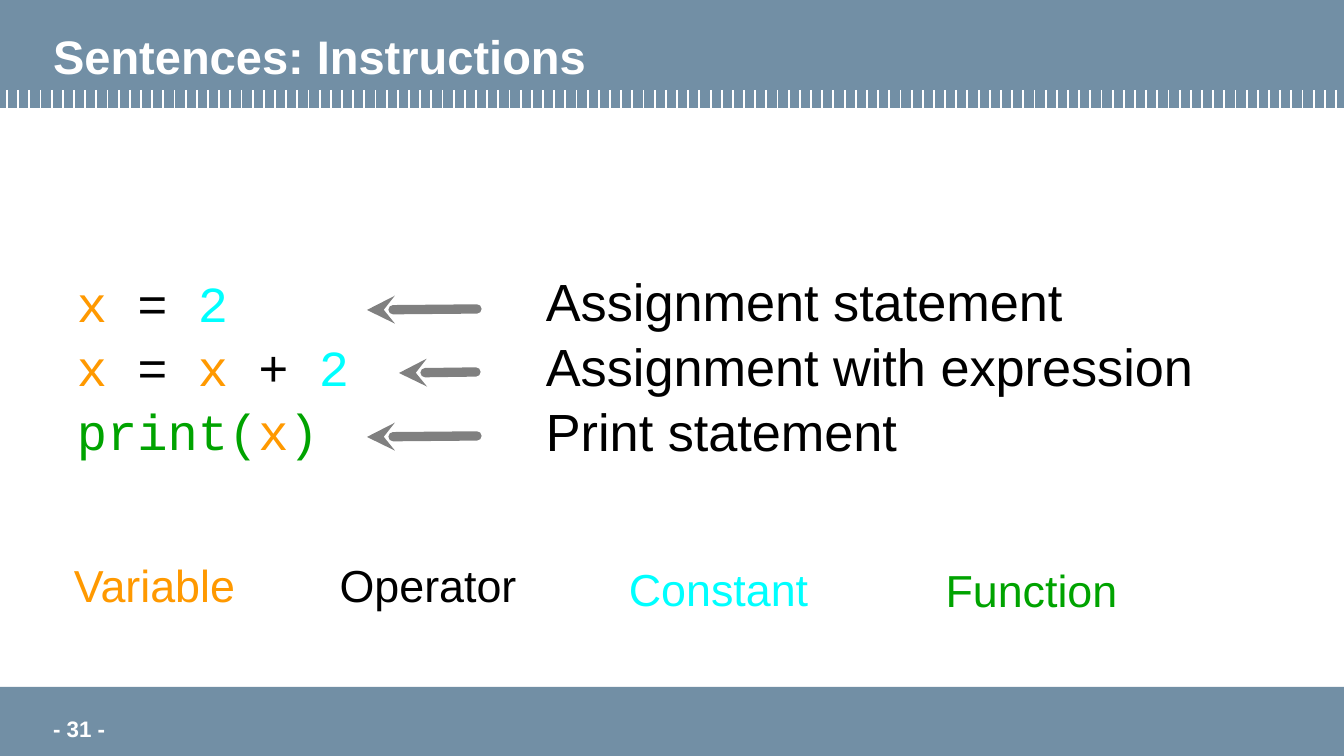
from lxml import etree
from pptx import Presentation
from pptx import util as u
from pptx.dml.color import RGBColor
from pptx.enum import shapes, text
from pptx.oxml import ns

SCALE = 914400 / 134.4
WIDE, HIGH = 1344, 756
SLATE = RGBColor(0x72, 0x8F, 0xA5)
WHITE = RGBColor(0xFF, 0xFF, 0xFF)
BLACK = RGBColor(0, 0, 0)
GRAY = RGBColor(0x80, 0x80, 0x80)
ORANGE = RGBColor(0xFF, 0x99, 0)
CYAN = RGBColor(0, 0xFF, 0xFF)
GREEN = RGBColor(0, 0xA3, 0)

CODE = [
    [("x ", ORANGE), ("= ", BLACK), ("2", CYAN)],
    [("x ", ORANGE), ("= ", BLACK), ("x", ORANGE), (" + ", BLACK), ("2", CYAN)],
    [("print(", GREEN), ("x", ORANGE), (")", GREEN)],
]
NOTES = ["Assignment statement", "Assignment with expression", "Print statement"]
ARROWS = [(367, 310, 477, 309), (399, 373, 476, 372), (367, 437, 477, 436)]
LABELS = [
    ("Variable", ORANGE, 58, 0, 193),
    ("Operator", BLACK, 337, 0, 182),
    ("Constant", CYAN, 617, 4, 203),
    ("Function", GREEN, 907, 5, 249),
]


def px(*sizes):
    """Turn pixel lengths into EMU."""
    return [u.Emu(round(size * SCALE)) for size in sizes]


def write(shape, lines, size, font="Arial", color=BLACK, bold=False, align="LEFT",
          anchor="MIDDLE", inset=(0, 0, 0, 0), space=None):
    """Fill a shape with lines, each a string or a list of coloured runs."""
    frame = shape.text_frame
    frame.word_wrap = True
    frame.auto_size = text.MSO_AUTO_SIZE.NONE
    frame.vertical_anchor = text.MSO_ANCHOR[anchor]
    (frame.margin_left, frame.margin_top,
     frame.margin_right, frame.margin_bottom) = px(*inset)
    for i, line in enumerate(lines):
        para = frame.add_paragraph() if i else frame.paragraphs[0]
        para.alignment = text.PP_ALIGN[align]
        para.line_spacing = space
        for words, tint in [(line, color)] if isinstance(line, str) else line:
            run = para.add_run()
            run.text = words
            run.font.size = u.Pt(size)
            run.font.name = font
            run.font.bold = bold
            run.font.color.rgb = tint


def add_text(slide, box, lines, size, **form):
    """Add a text box at the given box."""
    write(slide.shapes.add_textbox(*px(*box)), lines, size, **form)


def add_band(slide, box):
    """Add a plain slate band."""
    band = slide.shapes.add_shape(shapes.MSO_SHAPE.RECTANGLE, *px(*box))
    band.shadow.inherit = False
    band.fill.solid()
    band.fill.fore_color.rgb = SLATE
    band.line.fill.background()


def add_line(parent, ends, color, width, arrow=False):
    """Add a straight line, with a stealth head at its start if asked."""
    line = parent.add_connector(shapes.MSO_CONNECTOR.STRAIGHT, *px(*ends))
    line.line.color.rgb = color
    line.line.width = u.Pt(width)
    props = line.element.spPr
    if arrow:
        stroke = props.get_or_add_ln()
        stroke.set("cap", "rnd")
        etree.SubElement(stroke, ns.qn("a:headEnd"), type="stealth")
    etree.SubElement(props, ns.qn("a:effectLst"))


def add_head(slide, box, title, count=120):
    """Build the top band with its ticks and title."""
    left, top, wide, high = box
    add_band(slide, box)
    ticks = slide.shapes.add_group_shape().shapes
    step = (wide - 15) / (count - 1)
    for i in range(count):
        x = left + 7 + i * step
        add_line(ticks, (x, top + high - 18, x, top + high + 1), WHITE, 1)
    head = slide.shapes.title
    head.left, head.top, head.width, head.height = px(left + 40, top + 15, wide - 80, 64)
    write(head, [title], 25.2, color=WHITE, bold=True, anchor="TOP", inset=(13, 12, 13, 0))
    head.element.getparent().append(head.element)


def add_foot(slide, box, number):
    """Build the bottom band with the page number."""
    left, top = box[:2]
    add_band(slide, box)
    add_text(slide, (left + 40, top + 19, 112, 34), [number], 12, color=WHITE,
             bold=True, anchor="TOP", inset=(13, 9, 13, 0))


def add_code(slide, box):
    """Place the code beside its notes, with arrows between them."""
    left, top, wide, high = box
    add_text(slide, (left, top, 331, high), CODE, 27, font="Courier New", space=1.06)
    add_text(slide, (left + 469, top, wide - 469, high), NOTES, 28, space=1.04)
    for x, y, right, end in ARROWS:
        add_line(slide.shapes, (x, y, right, end), GRAY, 5, arrow=True)


def add_key(slide, box):
    """Place the row of colour labels."""
    left, top, _, high = box
    for word, color, x, drop, wide in LABELS:
        add_text(slide, (left + x, top + drop, wide, high), [word], 24,
                 color=color, align="CENTER")


def main():
    """Build and save the slide."""
    deck = Presentation()
    deck.slide_width, deck.slide_height = px(WIDE, HIGH)
    slide = deck.slides.add_slide(deck.slide_layouts[5])
    add_head(slide, (0, 0, WIDE, 108), "Sentences: Instructions")
    add_code(slide, (77, 198, 1197, 333))
    add_key(slide, (0, 555, WIDE, 60))
    add_foot(slide, (0, 687, WIDE, 69), "- 31 -")
    deck.save("out.pptx")


if __name__ == "__main__":
    main()
